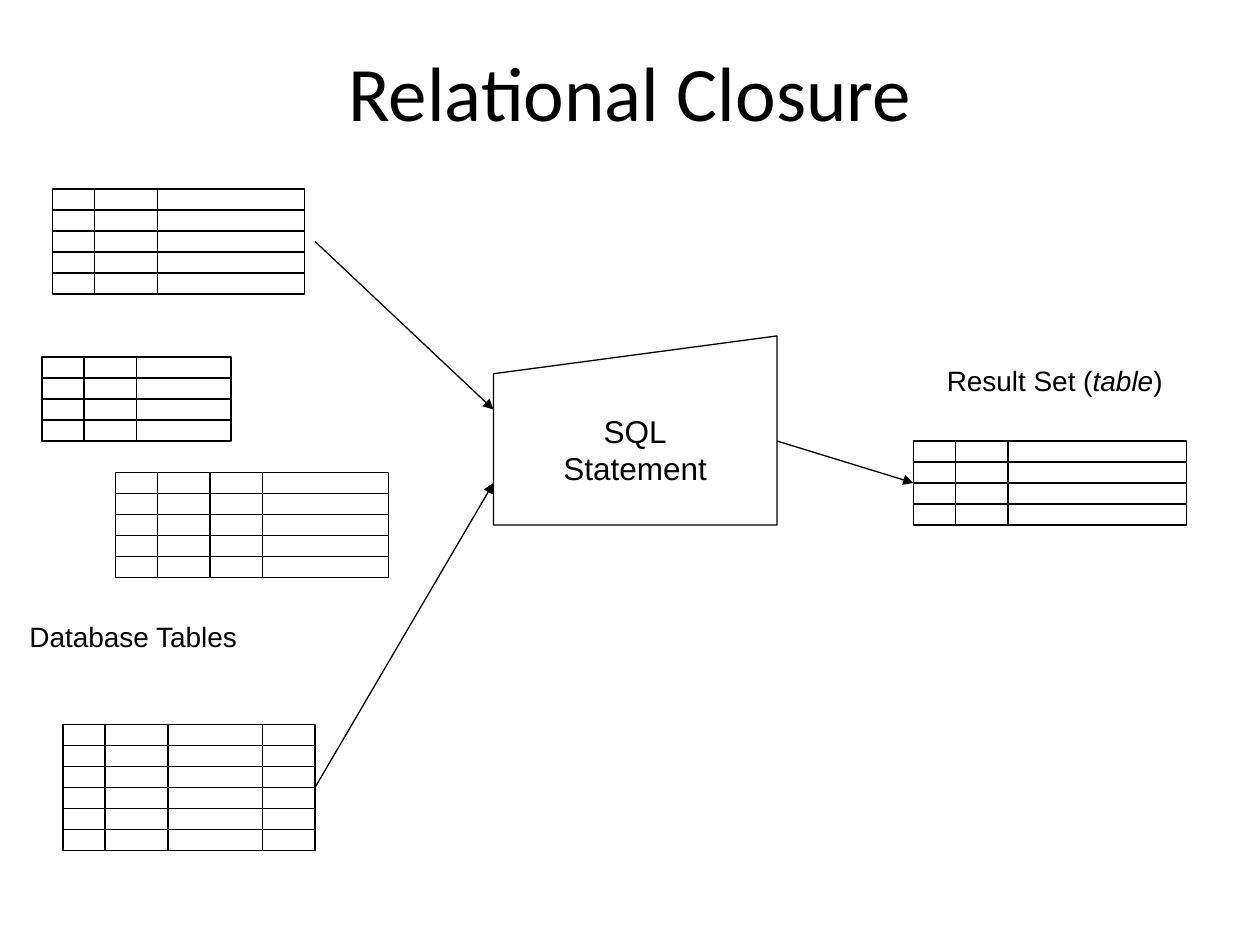
from dataclasses import dataclass

from lxml import etree
from pptx import Presentation
from pptx import util as u
from pptx.dml.color import RGBColor
from pptx.enum import shapes, text
from pptx.oxml import ns

PX = 9525
ROW = 16


@dataclass(frozen=True)
class Theme:
    """Colours, fonts and sizes of the slide."""
    ink: RGBColor = RGBColor(0, 0, 0)
    paper: RGBColor = RGBColor(255, 255, 255)
    heading: str = "Calibri"
    body: str = "Arial"
    title: int = 44
    step: int = 18
    label: int = 16
    stroke: float = 0.75


THEME = Theme()


def emu(*lengths):
    """Turn px lengths into EMU."""
    return [u.Emu(length * PX) for length in lengths]


def write(paragraph, pieces, size, font=THEME.body):
    """Add (wording, italic) pieces to a paragraph as runs."""
    for wording, italic in pieces:
        run = paragraph.add_run()
        run.text = wording
        run.font.name = font
        run.font.size = u.Pt(size)
        run.font.color.rgb = THEME.ink
        if italic:
            run.font.italic = True


def outlined(slide, preset, box):
    """Add a white preset shape with a thin black outline."""
    outline = slide.shapes.add_shape(preset, *emu(*box))
    outline.shadow.inherit = False
    outline.fill.solid()
    outline.fill.fore_color.rgb = THEME.paper
    outline.line.color.rgb = THEME.ink
    outline.line.width = u.Pt(THEME.stroke)
    return outline


def rule(slide, start, end, arrow=False):
    """Draw a thin straight line, with an arrowhead at its end on request."""
    line = slide.shapes.add_connector(
        shapes.MSO_CONNECTOR.STRAIGHT, *emu(*start, *end))
    line.line.color.rgb = THEME.ink
    line.line.width = u.Pt(THEME.stroke)
    if arrow:
        etree.SubElement(line.line._get_or_add_ln(), ns.qn("a:tailEnd"), type="triangle")
    etree.SubElement(line._element.spPr, ns.qn("a:effectLst"))
    return line


def table_sketch(slide, left, top, width, rows, dividers):
    """Draw an empty table with equal rows and dividers offset from its left."""
    height = rows * ROW
    frame = outlined(slide, shapes.MSO_SHAPE.RECTANGLE, (left, top, width, height))
    for row in range(1, rows):
        y = top + row * ROW
        rule(slide, (left, y), (left + width, y))
    for offset in dividers:
        x = left + offset
        rule(slide, (x, top), (x, top + height))
    return frame


def title(slide, box):
    """Place the slide title."""
    heading = slide.shapes.title
    heading.left, heading.top, heading.width, heading.height = emu(*box)
    frame = heading.text_frame
    frame.vertical_anchor = text.MSO_ANCHOR.TOP
    frame.paragraphs[0].alignment = text.PP_ALIGN.CENTER
    write(frame.paragraphs[0], [("Relational Closure", False)], THEME.title, THEME.heading)


def label(slide, box, pieces):
    """Place a one-line caption."""
    frame = slide.shapes.add_textbox(*emu(*box)).text_frame
    frame.word_wrap = False
    frame.auto_size = text.MSO_AUTO_SIZE.SHAPE_TO_FIT_TEXT
    write(frame.paragraphs[0], pieces, THEME.label)


def statement(slide, box):
    """Place the SQL statement between inputs and result."""
    frame = outlined(slide, shapes.MSO_SHAPE.FLOWCHART_MANUAL_INPUT, box).text_frame
    frame.word_wrap = False
    frame.vertical_anchor = text.MSO_ANCHOR.MIDDLE
    for index, word in enumerate(("SQL", "Statement")):
        paragraph = frame.paragraphs[0] if index == 0 else frame.add_paragraph()
        paragraph.alignment = text.PP_ALIGN.CENTER
        write(paragraph, [(word, False)], THEME.step)


def database_tables(slide, left, top):
    """Place the input tables and return the lowest one."""
    for x, y, width, rows, dividers in (
        (8, 0, 192, 5, (32, 80)),
        (0, 128, 144, 4, (32, 72)),
        (56, 216, 208, 5, (32, 72, 112)),
        (16, 408, 192, 6, (32, 80, 152)),
    ):
        lowest = table_sketch(slide, left + x, top + y, width, rows, dividers)
    label(slide, (left - 19, top + 323, 180, 36), [("Database Tables", False)])
    return lowest


def result_set(slide, left, top):
    """Place the result caption and return the table below it."""
    label(slide, (left + 16, top, 184, 36),
          [("Result Set (", False), ("table", True), (")", False)])
    return table_sketch(slide, left, top + 64, 208, 4, (32, 72))


def main():
    """Build and save the slide."""
    deck = Presentation()
    deck.slide_width, deck.slide_height = emu(960, 720)
    slide = deck.slides.add_slide(deck.slide_layouts[5])
    title(slide, (48, 29, 864, 120))
    statement(slide, (376, 256, 216, 144))
    lowest = database_tables(slide, 32, 144)
    result = result_set(slide, 696, 272)
    rule(slide, (240, 184), (376, 312), arrow=True)
    rule(slide, (240, 600), (376, 368), arrow=True).begin_connect(lowest, 3)
    rule(slide, (592, 336), (696, 368), arrow=True).end_connect(result, 1)
    deck.save("out.pptx")


if __name__ == "__main__":
    main()
